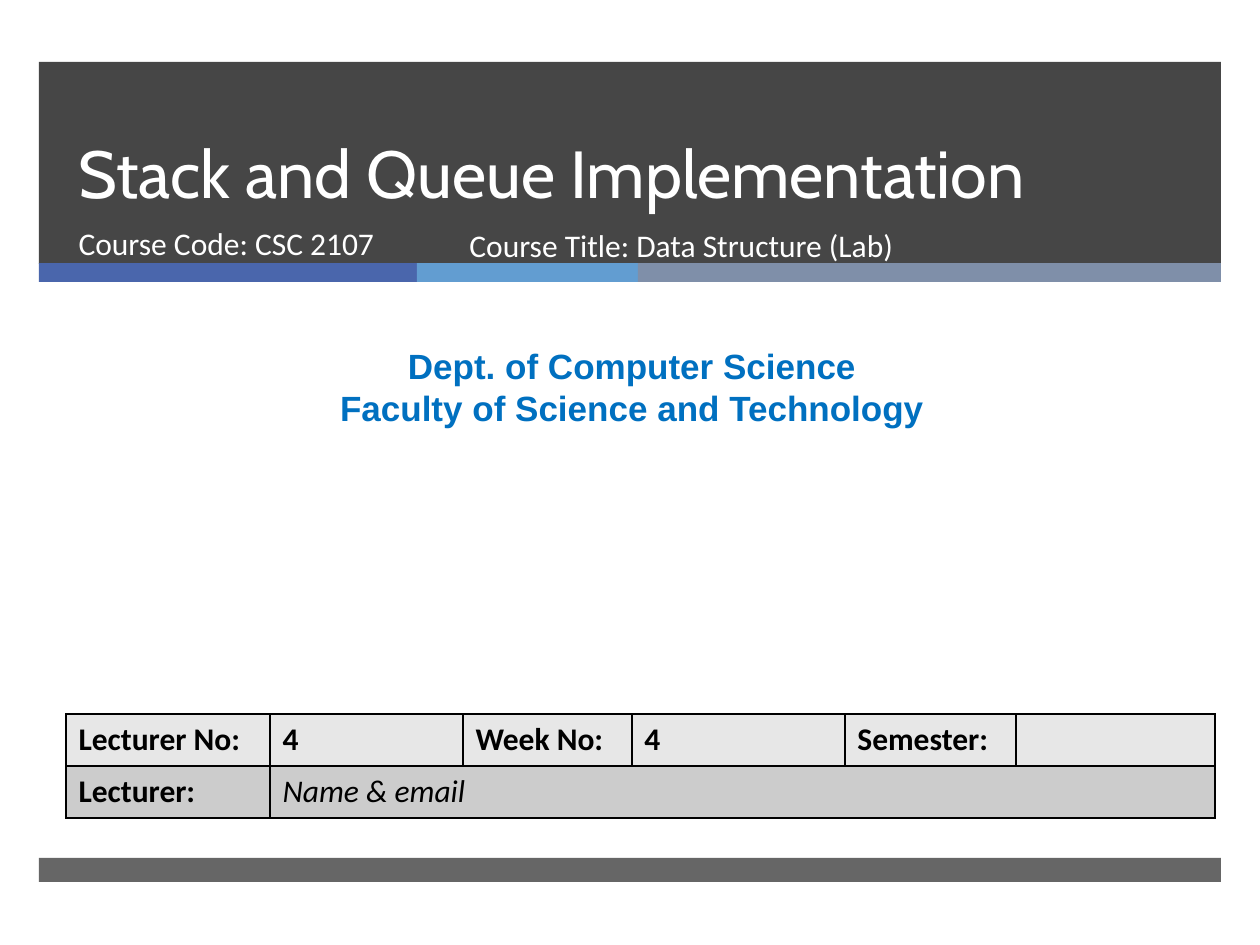
"""Build the opening slide of a data structure lab lecture."""
from itertools import accumulate

from lxml import etree
from pptx import Presentation
from pptx.dml.color import RGBColor
from pptx.enum.shapes import MSO_SHAPE
from pptx.enum.text import MSO_ANCHOR, MSO_AUTO_SIZE, PP_ALIGN
from pptx.oxml.ns import qn
from pptx.util import Pt

RECTANGLE = MSO_SHAPE.RECTANGLE
TOP, BOTTOM = MSO_ANCHOR.TOP, MSO_ANCHOR.BOTTOM
LEFT, CENTER = PP_ALIGN.LEFT, PP_ALIGN.CENTER
NO_AUTOFIT = MSO_AUTO_SIZE.NONE

LECTURE_TITLE = ["Stack and Queue Implementation"]
COURSE_CODE = ["Course Code: CSC 2107"]
COURSE_TITLE = ["Course Title: Data Structure (Lab)"]
DEPARTMENT = ["Dept. of Computer Science", "Faculty of Science and Technology"]
LECTURE_FACTS = [
    ["Lecturer No:", "4", "Week No:", "4", "Semester:", ""],
    ["Lecturer:", "Name & email"],
]

THEME = {
    "dark": "262626",
    "accents": ["4A66AC", "629DD1", "7F8FA9"],
    "rows": ["E7E7E7", "CCCCCC"],
    "border": "000000",
    "title": {"name": "Cabin", "size": 38, "color": "FFFFFF", "bold": False},
    "course": {"name": "Calibri", "size": 18, "color": "FFFFFF", "bold": False},
    "department": {"name": "Arial", "size": 20, "color": "0070C0", "bold": True},
    "label": {"name": "Calibri", "size": 18, "color": "000000", "bold": True},
    "lecturer": {"name": "Calibri", "size": 18, "color": "000000", "bold": False, "italic": True},
}

BAND_LEFT, BAND_WIDTH = 39, 1182
HEADER_TOP, HEADER_HEIGHT = 62, 202
ACCENT_TOP, ACCENT_HEIGHT = 263, 19
ACCENT_WIDTHS = [378, 221, 583]
FOOTER_TOP, FOOTER_HEIGHT = 858, 24
FACTS_LEFT, FACTS_TOP, FACT_HEIGHT = 66, 714, 52
FACT_WIDTHS = [204, 193, 169, 213, 171, 199]


def px(length):
    return round(length * 914400 / 126)


def box(*lengths):
    return [px(length) for length in lengths]


def style_font(font, style):
    values = dict(style, size=Pt(style["size"]))
    font.color.rgb = RGBColor.from_string(values.pop("color"))
    for attribute, value in values.items():
        setattr(font, attribute, value)


def write(frame, lines, style, align=LEFT, anchor=TOP, spacing=None):
    for attribute, value in {"word_wrap": True, "auto_size": NO_AUTOFIT,
                             "vertical_anchor": anchor}.items():
        setattr(frame, attribute, value)
    frame.text = "\n".join(lines)
    for paragraph in frame.paragraphs:
        for attribute, value in {"alignment": align, "line_spacing": spacing,
                                 "space_before": Pt(0)}.items():
            setattr(paragraph, attribute, value)
        for run in paragraph.runs:
            style_font(run.font, style)


def place(shape, *lengths):
    for attribute, value in zip(("left", "top", "width", "height"), box(*lengths)):
        setattr(shape, attribute, value)


def add_band(slide, bounds, color, opacity=100):
    band = slide.shapes.add_shape(RECTANGLE, *box(*bounds))
    band.shadow.inherit = False
    band.line.fill.background()
    band.fill.solid()
    band.fill.fore_color.rgb = RGBColor.from_string(color)
    if opacity < 100:
        fill_color = band.element.spPr.find(f".//{qn('a:srgbClr')}")
        etree.SubElement(fill_color, qn("a:alpha"), val=str(opacity * 1000))
    slide.shapes.title.element.addprevious(band.element)


def add_bands(slide):
    add_band(slide, (BAND_LEFT, HEADER_TOP, BAND_WIDTH, HEADER_HEIGHT), THEME["dark"], 85)
    accent_lefts = accumulate(ACCENT_WIDTHS, initial=BAND_LEFT)
    for left, width, color in zip(accent_lefts, ACCENT_WIDTHS, THEME["accents"]):
        add_band(slide, (left, ACCENT_TOP, width, ACCENT_HEIGHT), color)
    add_band(slide, (BAND_LEFT, FOOTER_TOP, BAND_WIDTH, FOOTER_HEIGHT), THEME["dark"], 70)


def format_cell(cell, color):
    properties = cell._tc.get_or_add_tcPr()
    for side in ("lnL", "lnR", "lnT", "lnB"):
        border = etree.SubElement(properties, qn(f"a:{side}"), w=str(Pt(1)))
        line_fill = etree.SubElement(border, qn("a:solidFill"))
        etree.SubElement(line_fill, qn("a:srgbClr"), val=THEME["border"])
    cell.fill.solid()
    cell.fill.fore_color.rgb = RGBColor.from_string(color)


def add_facts(slide):
    bounds = box(FACTS_LEFT, FACTS_TOP, sum(FACT_WIDTHS), FACT_HEIGHT * len(LECTURE_FACTS))
    table = slide.shapes.add_table(len(LECTURE_FACTS), len(FACT_WIDTHS), *bounds).table
    for column, width in zip(table.columns, FACT_WIDTHS):
        column.width = px(width)
    for row, color in zip(table.rows, THEME["rows"]):
        row.height = px(FACT_HEIGHT)
        for cell in row.cells:
            format_cell(cell, color)
            style_font(cell.text_frame.paragraphs[0].font, THEME["label"])
    table.cell(1, 1).merge(table.cell(1, len(FACT_WIDTHS) - 1))
    for row, facts in enumerate(LECTURE_FACTS):
        for column, fact in enumerate(facts):
            table.cell(row, column).text_frame.paragraphs[0].text = fact
    style_font(table.cell(1, 1).text_frame.paragraphs[0].font, THEME["lecturer"])


def main():
    deck = Presentation()
    deck.slide_width, deck.slide_height = box(1260, 945)
    slide = deck.slides.add_slide(deck.slide_layouts[0])
    add_bands(slide)

    title, course_code = slide.shapes.title, slide.placeholders[1]
    place(title, 66, 68, 1076, 150)
    write(title.text_frame, LECTURE_TITLE, THEME["title"], anchor=BOTTOM, spacing=Pt(46))
    place(course_code, 66, 218, 384, 67)
    write(course_code.text_frame, COURSE_CODE, THEME["course"])

    department = slide.shapes.add_textbox(*box(10, 338, 1244, 97))
    write(department.text_frame, DEPARTMENT, THEME["department"], align=CENTER)
    add_facts(slide)
    course_title = slide.shapes.add_textbox(*box(457, 220, 573, 67))
    write(course_title.text_frame, COURSE_TITLE, THEME["course"])
    deck.save("out.pptx")


if __name__ == "__main__":
    main()
